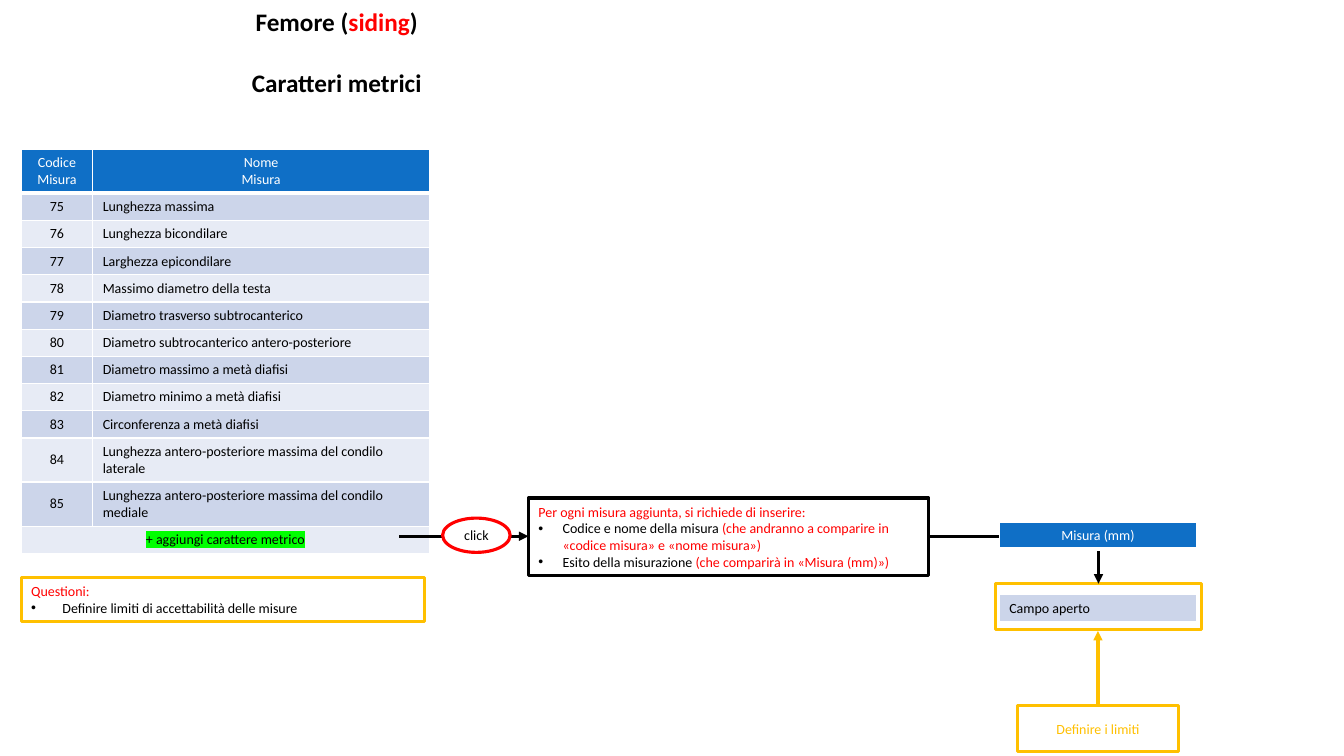
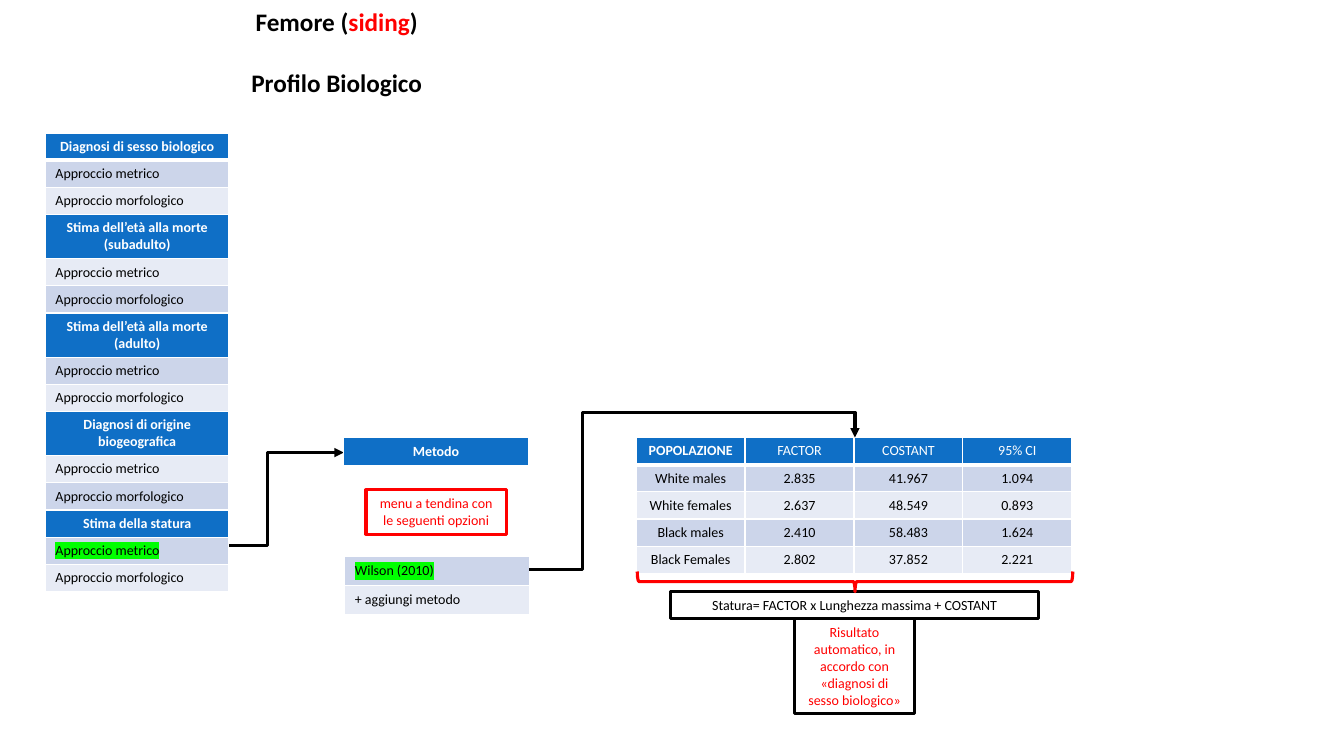
from lxml import etree
from pptx import Presentation
from pptx.dml.color import RGBColor
from pptx.enum.shapes import MSO_CONNECTOR, MSO_SHAPE
from pptx.enum.text import MSO_ANCHOR, MSO_AUTO_SIZE, PP_ALIGN
from pptx.oxml.ns import qn
from pptx.util import Inches, Pt

BLACK = RGBColor(0x00, 0x00, 0x00)
WHITE = RGBColor(0xFF, 0xFF, 0xFF)
RED = RGBColor(0xFF, 0x00, 0x00)
AMBER = RGBColor(0xFF, 0xC0, 0x00)
GREEN = RGBColor(0x00, 0xFF, 0x00)
BLUE = RGBColor(0x0F, 0x6F, 0xC6)
DARK_BAND = RGBColor(0xCC, 0xD5, 0xEA)
LIGHT_BAND = RGBColor(0xE7, 0xEB, 0xF5)

LEFT, CENTER = PP_ALIGN.LEFT, PP_ALIGN.CENTER
TOP, MIDDLE = MSO_ANCHOR.TOP, MSO_ANCHOR.MIDDLE
RECTANGLE, OVAL = MSO_SHAPE.RECTANGLE, MSO_SHAPE.OVAL
RIGHT_BRACE = MSO_SHAPE.RIGHT_BRACE
STRAIGHT, ELBOW = MSO_CONNECTOR.STRAIGHT, MSO_CONNECTOR.ELBOW

TITLE_ONLY, TWO_CONTENT = 5, 3
FONT = "Calibri"
ROW, DOUBLE_ROW = 0.27, 0.43
TOP_SITE, RIGHT_SITE = 0, 3


class Deck:
    """Holds the shared style and the current slide."""

    def __init__(self):
        self.presentation = Presentation()
        self.presentation.slide_width = Inches(13.33)
        self.presentation.slide_height = Inches(7.5)
        self.slide = None

    def new_slide(self, layout, subtitle):
        layouts = self.presentation.slide_layouts
        self.slide = self.presentation.slides.add_slide(layouts[layout])
        title = self.slide.shapes.title
        self.place(title, 0.01, 0.01, 6.66, 1.31)
        frame = title.text_frame
        frame.auto_size = MSO_AUTO_SIZE.NONE
        frame.vertical_anchor = TOP
        heading = [("Femore (", BLACK), ("siding", RED), (")", BLACK)]
        self.write_runs(frame.paragraphs[0], heading, 18, True)
        paragraph = frame.add_paragraph()
        paragraph.space_before = Pt(22)
        self.write_runs(paragraph, [(subtitle, BLACK)], 18, True)
        for paragraph in frame.paragraphs:
            paragraph.alignment = CENTER

    def place(self, shape, left, top, width, height):
        shape.left, shape.top = Inches(left), Inches(top)
        shape.width, shape.height = Inches(width), Inches(height)

    def format_run(self, run, color, size=10, bold=False, highlight=None):
        run.font.size = Pt(size)
        run.font.bold = bold
        run.font.color.rgb = color
        if highlight is not None:
            mark = etree.SubElement(run.font._element, qn("a:highlight"))
            etree.SubElement(mark, qn("a:srgbClr"), val=str(highlight))
        run.font.name = FONT

    def write_runs(self, paragraph, parts, size=10, bold=False):
        for text, color in parts:
            run = paragraph.add_run()
            run.text = text
            self.format_run(run, color, size, bold)

    def write_text(self, frame, text, color, alignment, bold=False, highlight=None):
        frame.text = text
        for paragraph in frame.paragraphs:
            paragraph.alignment = alignment
            for run in paragraph.runs:
                self.format_run(run, color, bold=bold, highlight=highlight)

    def outline(self, shape, color, fill=None):
        if fill is None:
            shape.fill.background()
        else:
            shape.fill.solid()
            shape.fill.fore_color.rgb = fill
        shape.line.color.rgb = color
        shape.line.width = Pt(2.25)

    def list_box(self, index, bounds, line, heading, items, indent, fill=None):
        box = self.slide.placeholders[index]
        self.place(box, *bounds)
        self.outline(box, line, fill)
        frame = box.text_frame
        frame.auto_size = MSO_AUTO_SIZE.NONE
        for number, parts in enumerate([[(heading, RED)]] + items):
            paragraph = frame.add_paragraph() if number else frame.paragraphs[0]
            margin = Inches(indent) if number else 0
            properties = paragraph._p.get_or_add_pPr()
            properties.set("marL", str(margin))
            properties.set("indent", str(-margin))
            if number:
                etree.SubElement(properties, qn("a:buFont"), typeface="Arial")
                etree.SubElement(properties, qn("a:buChar"), char="•")
            else:
                etree.SubElement(properties, qn("a:buNone"))
            paragraph.space_before = Pt(0)
            self.write_runs(paragraph, parts)
        return box

    def box(self, bounds, line, text="", color=BLACK, fill=None,
            kind=RECTANGLE, anchor=MIDDLE):
        shape = self.slide.shapes.add_shape(kind, *map(Inches, bounds))
        shape.shadow.inherit = False
        self.outline(shape, line, fill)
        if text:
            shape.text_frame.word_wrap = True
            shape.text_frame.vertical_anchor = anchor
            self.write_text(shape.text_frame, text, color, CENTER)
        return shape

    def connector(self, start, end, color=BLACK, kind=STRAIGHT, preset=None,
                  adjustments=()):
        points = map(Inches, (*start, *end))
        connector = self.slide.shapes.add_connector(kind, *points)
        connector.line.color.rgb = color
        connector.line.width = Pt(2.25)
        line = connector.line._get_or_add_ln()
        etree.SubElement(line, qn("a:tailEnd"), type="triangle")
        properties = connector._element.spPr
        etree.SubElement(properties, qn("a:effectLst"))
        geometry = properties.find(qn("a:prstGeom"))
        if preset:
            geometry.set("prst", preset)
        for number, value in enumerate(adjustments, 1):
            etree.SubElement(geometry.find(qn("a:avLst")), qn("a:gd"),
                             name=f"adj{number}", fmla=f"val {value}")
        return connector

    def cell_borders(self, cell, bottom):
        properties = cell._tc.get_or_add_tcPr()
        widths = (("lnL", 1), ("lnR", 1), ("lnT", 1), ("lnB", bottom))
        for position, (side, width) in enumerate(widths):
            border = etree.Element(qn("a:" + side), w=str(Pt(width)))
            fill = etree.SubElement(border, qn("a:solidFill"))
            etree.SubElement(fill, qn("a:srgbClr"), val=str(WHITE))
            properties.insert(position, border)

    def table(self, left, top, widths, rows, alignments=(LEFT,),
              bold_columns=(), highlighted_row=None):
        height = sum(row[0] for row in rows)
        frame = self.slide.shapes.add_table(
            len(rows), len(widths), Inches(left), Inches(top),
            Inches(sum(widths)), Inches(height))
        table = frame.table
        table.first_row = table.horz_banding = False
        for column, width in zip(table.columns, widths):
            column.width = Inches(width)
        for number, (row_height, fill, *texts) in enumerate(rows):
            header = fill == BLUE
            table.rows[number].height = Inches(row_height)
            if len(texts) < len(widths):
                table.cell(number, 0).merge(table.cell(number, len(widths) - 1))
            for column in range(len(widths)):
                cell = table.cell(number, column)
                cell.fill.solid()
                cell.fill.fore_color.rgb = fill
                self.cell_borders(cell, 3 if header and number == 0 else 1)
                if column < len(texts):
                    cell.vertical_anchor = MIDDLE
                    self.write_text(
                        cell.text_frame, texts[column],
                        WHITE if header else BLACK,
                        CENTER if header else alignments[column],
                        header and column in bold_columns,
                        GREEN if number == highlighted_row else None)


def build_metric_slide(deck):
    deck.new_slide(TWO_CONTENT, "Caratteri metrici")
    request = deck.list_box(
        1, (5.24, 4.94, 3.97, 0.77), BLACK,
        "Per ogni misura aggiunta, si richiede di inserire:",
        [[("Codice e nome della misura ", BLACK),
          ("(che andranno a comparire in «codice misura» e «nome misura»)", RED)],
         [("Esito della misurazione ", BLACK),
          ("(che comparirà in «Misura (mm)»)", RED)]],
        0.24, WHITE)
    deck.list_box(2, (0.21, 5.73, 4, 0.44), AMBER, "Questioni:",
                  [[("Definire limiti di accettabilità delle misure", BLACK)]], 0.31)

    measures = (
        "Lunghezza massima", "Lunghezza bicondilare", "Larghezza epicondilare",
        "Massimo diametro della testa", "Diametro trasverso subtrocanterico",
        "Diametro subtrocanterico antero-posteriore",
        "Diametro massimo a metà diafisi", "Diametro minimo a metà diafisi",
        "Circonferenza a metà diafisi",
        "Lunghezza antero-posteriore massima del condilo laterale",
        "Lunghezza antero-posteriore massima del condilo mediale")
    rows = [(DOUBLE_ROW, BLUE, "Codice\nMisura", "Nome\nMisura")]
    for code, measure in enumerate(measures, 75):
        rows.append((DOUBLE_ROW if len(measure) > 50 else ROW,
                     DARK_BAND if code % 2 else LIGHT_BAND, str(code), measure))
    rows.append((ROW, LIGHT_BAND, "+ aggiungi carattere metrico"))
    deck.table(0.21, 1.48, (0.71, 3.34), rows, (CENTER, LEFT),
               highlighted_row=len(rows) - 1)

    deck.connector((3.96, 5.32), (5.24, 5.32))
    deck.box((4.39, 5.14, 0.67, 0.34), RED, "click", fill=WHITE, kind=OVAL)
    open_field = deck.box((9.87, 5.79, 2.05, 0.46), AMBER)
    elbow = deck.connector((9.21, 5.33), (10.89, 5.79), kind=ELBOW,
                           preset="bentConnector2")
    elbow.begin_connect(request, RIGHT_SITE)
    elbow.end_connect(open_field, TOP_SITE)
    deck.table(9.91, 5.18, (1.96,), [(ROW, BLUE, "Misura (mm)")])
    deck.connector((10.89, 7), (10.89, 6.26), AMBER)
    deck.box((10.09, 7, 1.6, 0.46), AMBER, "Definire i limiti", AMBER, WHITE)
    deck.table(9.91, 5.9, (1.96,), [(ROW, DARK_BAND, "Campo aperto")])


def build_profile_slide(deck):
    deck.new_slide(TITLE_ONLY, "Profilo Biologico")
    deck.connector((1.9, 5.41), (3.41, 4.49), kind=ELBOW)

    deck.table(3.42, 5.52, (1.83,),
               [(0.29, DARK_BAND, "Wilson (2010)"),
                (0.29, LIGHT_BAND, "+ aggiungi metodo")], highlighted_row=0)
    deck.box((3.63, 4.86, 1.39, 0.44), RED,
             "menu a tendina con le seguenti opzioni", RED, WHITE, anchor=TOP)
    deck.table(3.41, 4.34, (1.83,), [(0.29, BLUE, "Metodo")], bold_columns=(0,))

    deck.table(6.31, 4.34, (1.08,) * 4, [
        (ROW, BLUE, "POPOLAZIONE", "FACTOR", "COSTANT", "95% CI"),
        (ROW, DARK_BAND, "White males", "2.835", "41.967", "1.094"),
        (ROW, LIGHT_BAND, "White females", "2.637", "48.549", "0.893"),
        (ROW, DARK_BAND, "Black males", "2.410", "58.483", "1.624"),
        (ROW, LIGHT_BAND, "Black Females", "2.802", "37.852", "2.221"),
    ], (CENTER,) * 4, bold_columns=(0,))
    deck.box((6.65, 5.87, 3.65, 0.27), BLACK,
             "Statura= FACTOR x Lunghezza massima + COSTANT", anchor=TOP)
    deck.box((7.88, 6.14, 1.19, 0.94), BLACK,
             "Risultato automatico, in accordo con «diagnosi di sesso biologico»",
             RED, WHITE, anchor=TOP)
    brace = deck.box((8.38, 3.61, 0.2, 4.32), RED, kind=RIGHT_BRACE)
    brace.rotation = 90
    deck.connector((5.25, 5.65), (8.48, 4.34), kind=ELBOW,
                   preset="bentConnector4", adjustments=(16400, 119100))

    sections = (("Diagnosi di sesso biologico", ROW),
                ("Stima dell’età alla morte (subadulto)", DOUBLE_ROW),
                ("Stima dell’età alla morte (adulto)", DOUBLE_ROW),
                ("Diagnosi di origine biogeografica", DOUBLE_ROW),
                ("Stima della statura", ROW))
    rows = []
    for section, height in sections:
        rows.append((height, BLUE, section))
        for approach in ("Approccio metrico", "Approccio morfologico"):
            band = DARK_BAND if len(rows) % 2 else LIGHT_BAND
            rows.append((ROW, band, approach))
    deck.table(0.45, 1.32, (1.82,), rows, bold_columns=(0,),
               highlighted_row=len(rows) - 2)


def main():
    deck = Deck()
    build_metric_slide(deck)
    build_profile_slide(deck)
    deck.presentation.save("out.pptx")


if __name__ == "__main__":
    main()
